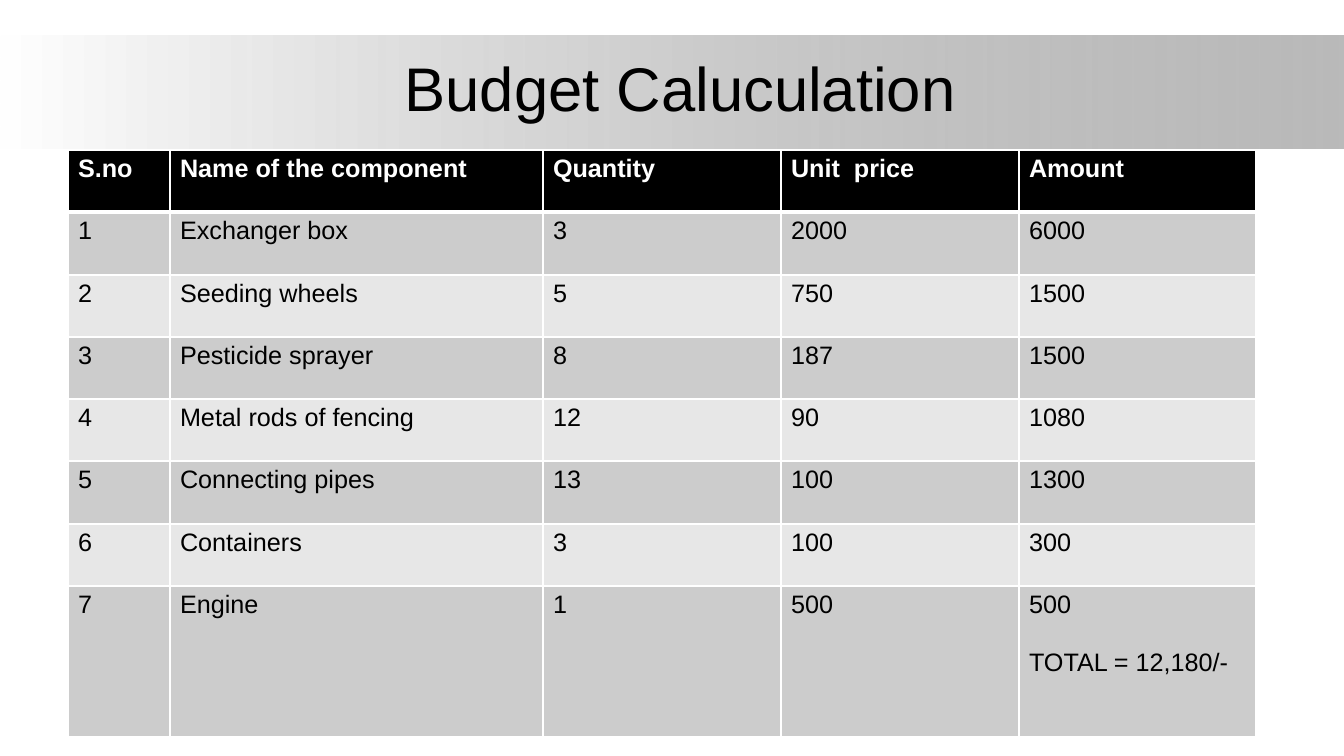
from lxml import etree
from pptx import Presentation
from pptx.dml.color import RGBColor
from pptx.enum.shapes import MSO_SHAPE
from pptx.enum.text import MSO_ANCHOR, PP_ALIGN
from pptx.oxml.ns import qn
from pptx.util import Pt

RECTANGLE = MSO_SHAPE.RECTANGLE
MIDDLE = MSO_ANCHOR.MIDDLE
LEFT, CENTER = PP_ALIGN.LEFT, PP_ALIGN.CENTER

TITLE = " Budget Caluculation"
BUDGET = [
    ("S.no", "Name of the component", "Quantity", "Unit  price", "Amount"),
    ("1", "Exchanger box", "3", "2000", "6000"),
    ("2", "Seeding wheels", "5", "750", "1500"),
    ("3", "Pesticide sprayer", "8", "187", "1500"),
    ("4", "Metal rods of fencing", "12", "90", "1080"),
    ("5", "Connecting pipes", "13", "100", "1300"),
    ("6", "Containers", "3", "100", "300"),
    ("7", "Engine", "1", "500", "500"),
]
TOTAL = "TOTAL = 12,180/-"
FONT = "Arial"
BLACK, WHITE = "000000", "FFFFFF"
BAND_FILLS = ("E7E7E7", "CCCCCC")
BAND_GRADIENT = (WHITE, "808080")
BAND_OPACITY = 54

SLIDE_WIDTH, SLIDE_HEIGHT = 1344, 756
TABLE_LEFT, TABLE_TOP = 68, 150
COLUMN_WIDTHS = (102, 373, 238, 238, 237)
ROWS_SPAN, LAST_ROW_HEIGHT = 436, 151
TOTAL_GAP = 29


def px(length):
    return round(length * 914400 / 100.8)


def color(value):
    return RGBColor.from_string(value)


def add_run(paragraph, text, size, font_color, bold=False, align=LEFT):
    paragraph.alignment = align
    run = paragraph.add_run()
    run.text = text
    run.font.name = FONT
    run.font.size = Pt(size)
    run.font.bold = bold
    run.font.color.rgb = color(font_color)


def set_borders(cell, top, bottom):
    properties = cell._tc.get_or_add_tcPr()
    for side, width in (("L", 1), ("R", 1), ("T", top), ("B", bottom)):
        line = etree.SubElement(properties, qn(f"a:ln{side}"), w=str(Pt(width)))
        solid = etree.SubElement(line, qn("a:solidFill"))
        etree.SubElement(solid, qn("a:srgbClr"), val=WHITE)


def add_title_band(slide):
    band = slide.shapes.add_shape(RECTANGLE, 0, px(36), px(SLIDE_WIDTH), px(113))
    band.shadow.inherit = False
    band.line.fill.background()
    band.fill.gradient()
    band.fill.gradient_angle = 0
    for stop, stop_color in zip(band.fill.gradient_stops, BAND_GRADIENT):
        stop.color.rgb = color(stop_color)
    end_color = list(band._element.spPr.iter(qn("a:srgbClr")))[-1]
    etree.SubElement(end_color, qn("a:alpha"), val=str(BAND_OPACITY * 1000))


def add_title(slide):
    box = slide.shapes.add_textbox(px(67), px(24), px(1210), px(126))
    frame = box.text_frame
    frame.word_wrap = True
    frame.vertical_anchor = MIDDLE
    add_run(frame.paragraphs[0], TITLE, 44, BLACK, align=CENTER)


def add_budget_table(slide):
    last = len(BUDGET) - 1
    edges = [round(ROWS_SPAN * i / last) for i in range(last + 1)]
    edges.append(ROWS_SPAN + LAST_ROW_HEIGHT)
    table = slide.shapes.add_table(
        len(BUDGET), len(COLUMN_WIDTHS), px(TABLE_LEFT), px(TABLE_TOP),
        px(sum(COLUMN_WIDTHS)), px(edges[-1])).table
    for column, width in zip(table.columns, COLUMN_WIDTHS):
        column.width = px(width)
    for row_index, values in enumerate(BUDGET):
        table.rows[row_index].height = px(edges[row_index + 1] - edges[row_index])
        header = row_index == 0
        fill = BLACK if header else BAND_FILLS[row_index % 2]
        font_color = WHITE if header else BLACK
        for column_index, value in enumerate(values):
            cell = table.cell(row_index, column_index)
            set_borders(cell, 3 if row_index == 1 else 1, 3 if header else 1)
            cell.fill.solid()
            cell.fill.fore_color.rgb = color(fill)
            add_run(cell.text_frame.paragraphs[0], value, 18, font_color, header)
    total = table.cell(last, len(COLUMN_WIDTHS) - 1).text_frame.add_paragraph()
    total.space_before = px(TOTAL_GAP)
    add_run(total, TOTAL, 18, BLACK)


def main():
    presentation = Presentation()
    presentation.slide_width = px(SLIDE_WIDTH)
    presentation.slide_height = px(SLIDE_HEIGHT)
    slide = presentation.slides.add_slide(presentation.slide_layouts[6])
    add_title_band(slide)
    add_title(slide)
    add_budget_table(slide)
    presentation.save("out.pptx")


if __name__ == "__main__":
    main()
